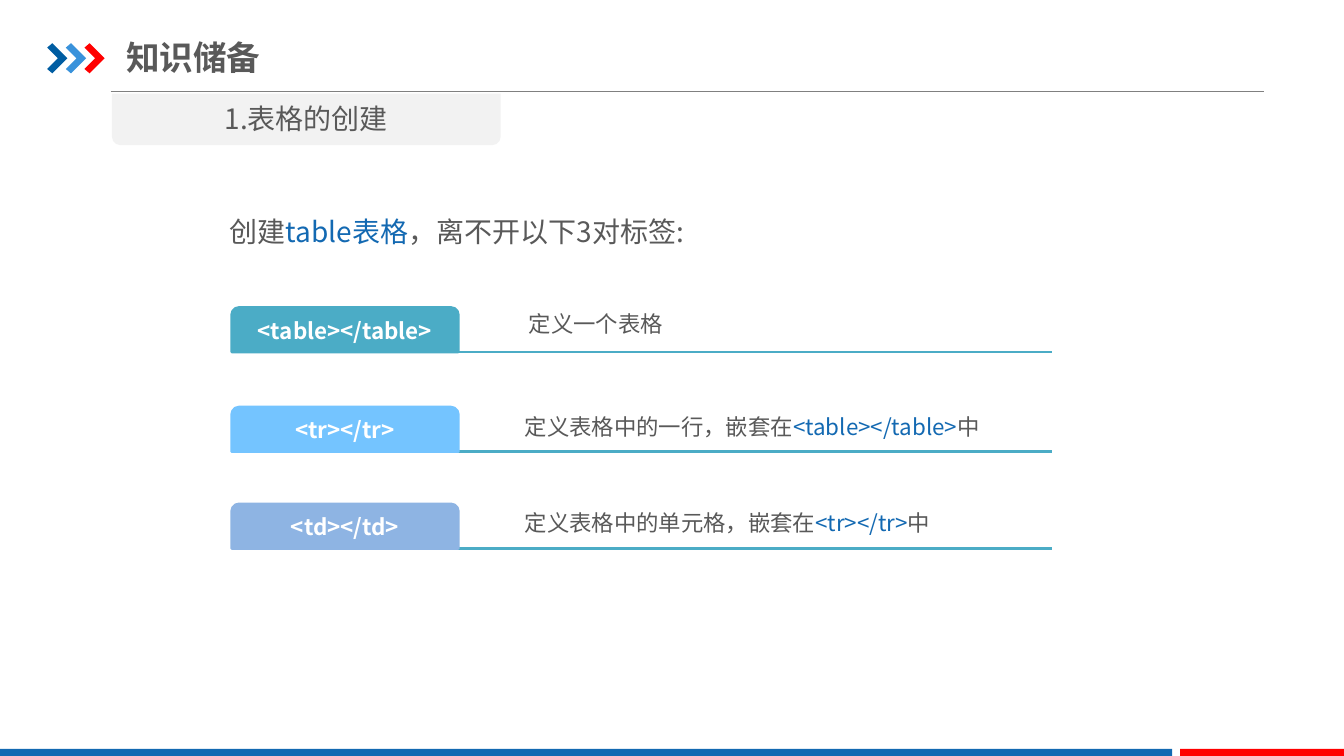
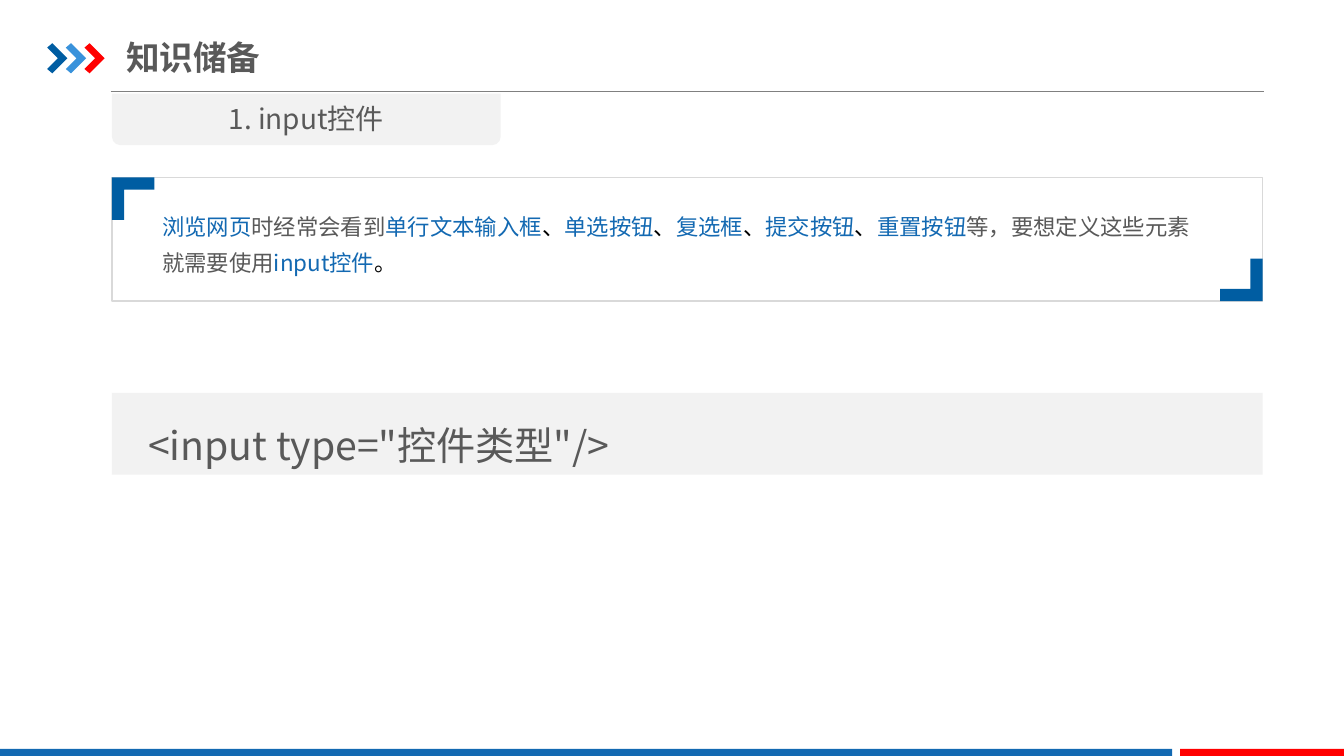
from lxml.etree import SubElement
from pptx import Presentation
from pptx.dml.color import RGBColor
from pptx.enum.shapes import MSO_CONNECTOR, MSO_SHAPE
from pptx.enum.text import MSO_ANCHOR, MSO_AUTO_SIZE, PP_ALIGN
from pptx.oxml.ns import qn
from pptx.util import Cm, Pt

FONT = "Noto Sans CJK SC"
GREY = RGBColor(0x59, 0x59, 0x59)
BLUE = RGBColor(0x13, 0x69, 0xB2)
DEEP_BLUE = RGBColor(0x00, 0x5D, 0xA2)
SKY_BLUE = RGBColor(0x39, 0x92, 0xDB)
RED = RGBColor(0xFF, 0x00, 0x00)
TEAL = RGBColor(0x4B, 0xAC, 0xC6)
LIGHT_BLUE = RGBColor(0x74, 0xC4, 0xFF)
LAVENDER = RGBColor(0x8E, 0xB4, 0xE3)
RULE_GREY = RGBColor(0x80, 0x80, 0x80)
FRAME_GREY = RGBColor(0xD9, 0xD9, 0xD9)
PANEL_GREY = RGBColor(0xF2, 0xF2, 0xF2)
BLACK = RGBColor(0x00, 0x00, 0x00)
WHITE = RGBColor(0xFF, 0xFF, 0xFF)

WIDTH, HEIGHT = 33.87, 19.05
PANEL_LEFT, PANEL_WIDTH = 2.82, 29.0
TITLE = "知识储备"

TABLE_TOPIC = "1.表格的创建"
TABLE_LEAD = [("创建", GREY), ("table表格", BLUE), ("，离不开以下3对标签:", GREY)]
# tag, colour, tag top, description left and top, description
TABLE_TAGS = [
    ("<table></table>", TEAL, 7.75, (13.08, 7.7), [("定义一个表格", GREY)]),
    ("<tr></tr>", LIGHT_BLUE, 10.26, (12.98, 10.29),
     [("定义表格中的一行，嵌套在", GREY), ("<table></table>", BLUE), ("中", GREY)]),
    ("<td></td>", LAVENDER, 12.7, (12.98, 12.7),
     [("定义表格中的单元格，嵌套在", GREY), ("<tr></tr>", BLUE), ("中", GREY)]),
]

INPUT_TOPIC = "1. input控件"
INPUT_INTRO = [
    ("浏览网页", BLUE), ("时经常会看到", GREY), ("单行文本输入框", BLUE), ("、", BLACK),
    ("单选按钮", BLUE), ("、", BLACK), ("复选框", BLUE), ("、", BLACK),
    ("提交按钮", BLUE), ("、", BLACK), ("重置按钮", BLUE),
    ("等，要想定义这些元素就需要使用", GREY), ("input控件", BLUE), ("。", BLACK),
]
INPUT_CODE = '   <input type="控件类型"/>'

CHEVRON = [(0, 0.11), (0.13, 0), (0.51, 0.38), (0.13, 0.76), (0, 0.65), (0.27, 0.38)]
CORNER = [(0, 0), (1.07, 0), (1.07, 0.31), (0.31, 0.31), (0.31, 1.07), (0, 1.07)]


def write(shape, runs, size, align=PP_ALIGN.LEFT, anchor=MSO_ANCHOR.TOP,
          bold=False, spacing=None, insets=None):
    """Fill a shape with one paragraph of (text, colour) runs."""
    frame = shape.text_frame
    frame.word_wrap = True
    frame.auto_size = MSO_AUTO_SIZE.NONE
    frame.vertical_anchor = anchor
    if insets:
        (frame.margin_left, frame.margin_top,
         frame.margin_right, frame.margin_bottom) = map(Cm, insets)
    paragraph = frame.paragraphs[0]
    paragraph.alignment = align
    if spacing:
        paragraph.line_spacing = spacing
    for text, colour in runs:
        run = paragraph.add_run()
        run.text = text
        run.font.name, run.font.size, run.font.bold = FONT, Pt(size), bold
        run.font.color.rgb = colour
    for properties in shape.element.iter(qn("a:rPr")):
        SubElement(properties, qn("a:ea"), typeface=FONT)


def paint(shape, fill=None, line=None, line_width=1):
    shape.shadow.inherit = False
    if fill is None:
        shape.fill.background()
    else:
        shape.fill.solid()
        shape.fill.fore_color.rgb = fill
    if line is None:
        shape.line.fill.background()
    else:
        shape.line.color.rgb = line
        shape.line.width = Pt(line_width)
    return shape


def add_block(slide, kind, box, fill=None, line=None, line_width=1):
    return paint(slide.shapes.add_shape(kind, *map(Cm, box)), fill, line, line_width)


def add_outline(slide, points, left, top, fill, direction=1):
    """Draw a closed outline; direction -1 turns it half round its origin."""
    corners = [(Cm(left + direction * x), Cm(top + direction * y)) for x, y in points]
    builder = slide.shapes.build_freeform(*corners[0])
    builder.add_line_segments(corners[1:], close=True)
    return paint(builder.convert_to_shape(), fill)


def add_rule(slide, left, right, y, colour, width):
    rule = slide.shapes.add_connector(
        MSO_CONNECTOR.STRAIGHT, Cm(left), Cm(y), Cm(right), Cm(y))
    rule.line.color.rgb = colour
    rule.line.width = Pt(width)
    SubElement(rule.element.spPr, qn("a:effectLst"))
    return rule


def add_text(slide, box, runs, size):
    write(slide.shapes.add_textbox(*map(Cm, box)), runs, size)


def decorate_layout(layout, slide):
    """Draw the shared parts on a slide and move them to its layout."""
    parts = [add_rule(slide, 2.79, 31.85, 2.31, RULE_GREY, 0.75)]
    for index, colour in enumerate((DEEP_BLUE, SKY_BLUE, RED)):
        parts.append(add_outline(slide, CHEVRON, 1.19 + 0.47 * index, 1.09, colour))
    band_top = 18.87
    for left, right, colour in ((0, 29.54, BLUE), (29.74, WIDTH, RED)):
        box = (left, band_top, right - left, HEIGHT - band_top)
        parts.append(add_block(slide, MSO_SHAPE.RECTANGLE, box, colour))
    for part in parts:
        layout.shapes.element.append(part.element)
    title = layout.placeholders[0]
    title.left, title.top, title.width, title.height = map(Cm, (3.18, 0.74, 10.82, 1.4))


def add_heading(slide, topic):
    write(slide.shapes.title, [(TITLE, GREY)], 24, anchor=MSO_ANCHOR.MIDDLE,
          bold=True, insets=(0, 0.18, 0, 0.18))
    tab = add_block(slide, MSO_SHAPE.ROUND_2_SAME_RECTANGLE,
                    (PANEL_LEFT, 2.36, 9.8, 1.3), PANEL_GREY)
    tab.adjustments[0], tab.adjustments[1] = 0, 0.17
    write(tab, [(topic, GREY)], 20, PP_ALIGN.CENTER, MSO_ANCHOR.MIDDLE)


def fill_table_slide(slide):
    add_heading(slide, TABLE_TOPIC)
    add_text(slide, (5.54, 5.28, 18.64, 1.12), TABLE_LEAD, 20)
    tag_left, tag_width, tag_height, rule_right = 5.84, 5.71, 1.12, 26.52
    for name, colour, top, (left, text_top), description in TABLE_TAGS:
        add_rule(slide, tag_left, rule_right, top + tag_height, TEAL, 2)
        tag = add_block(slide, MSO_SHAPE.ROUND_2_SAME_RECTANGLE,
                        (tag_left, top, tag_width, tag_height), colour, colour, 2)
        write(tag, [(name, WHITE)], 16, PP_ALIGN.CENTER, MSO_ANCHOR.MIDDLE,
              bold=True, spacing=0.9, insets=(0.15, 0.15, 0.15, 0.1))
        add_text(slide, (left, text_top, rule_right - left, 0.94), description, 16)


def fill_input_slide(slide):
    add_heading(slide, INPUT_TOPIC)
    top, height = 4.47, 3.12
    intro = add_block(slide, MSO_SHAPE.RECTANGLE,
                      (PANEL_LEFT, top, PANEL_WIDTH, height), line=FRAME_GREY)
    write(intro, INPUT_INTRO, 16, spacing=1.35, insets=(1.27, 0.66, 1.39, 0))
    add_outline(slide, CORNER, PANEL_LEFT, top, DEEP_BLUE)
    add_outline(slide, CORNER, PANEL_LEFT + PANEL_WIDTH, top + height, DEEP_BLUE, -1)
    code = add_block(slide, MSO_SHAPE.RECTANGLE,
                     (PANEL_LEFT, 9.9, PANEL_WIDTH, 2.06), PANEL_GREY)
    write(code, [(INPUT_CODE, GREY)], 28, spacing=1.5)


def main():
    deck = Presentation()
    deck.slide_width, deck.slide_height = Cm(WIDTH), Cm(HEIGHT)
    layout = deck.slide_layouts[5]
    table_slide, input_slide = (deck.slides.add_slide(layout) for _ in range(2))
    decorate_layout(layout, table_slide)
    fill_table_slide(table_slide)
    fill_input_slide(input_slide)
    deck.save("out.pptx")


if __name__ == "__main__":
    main()
